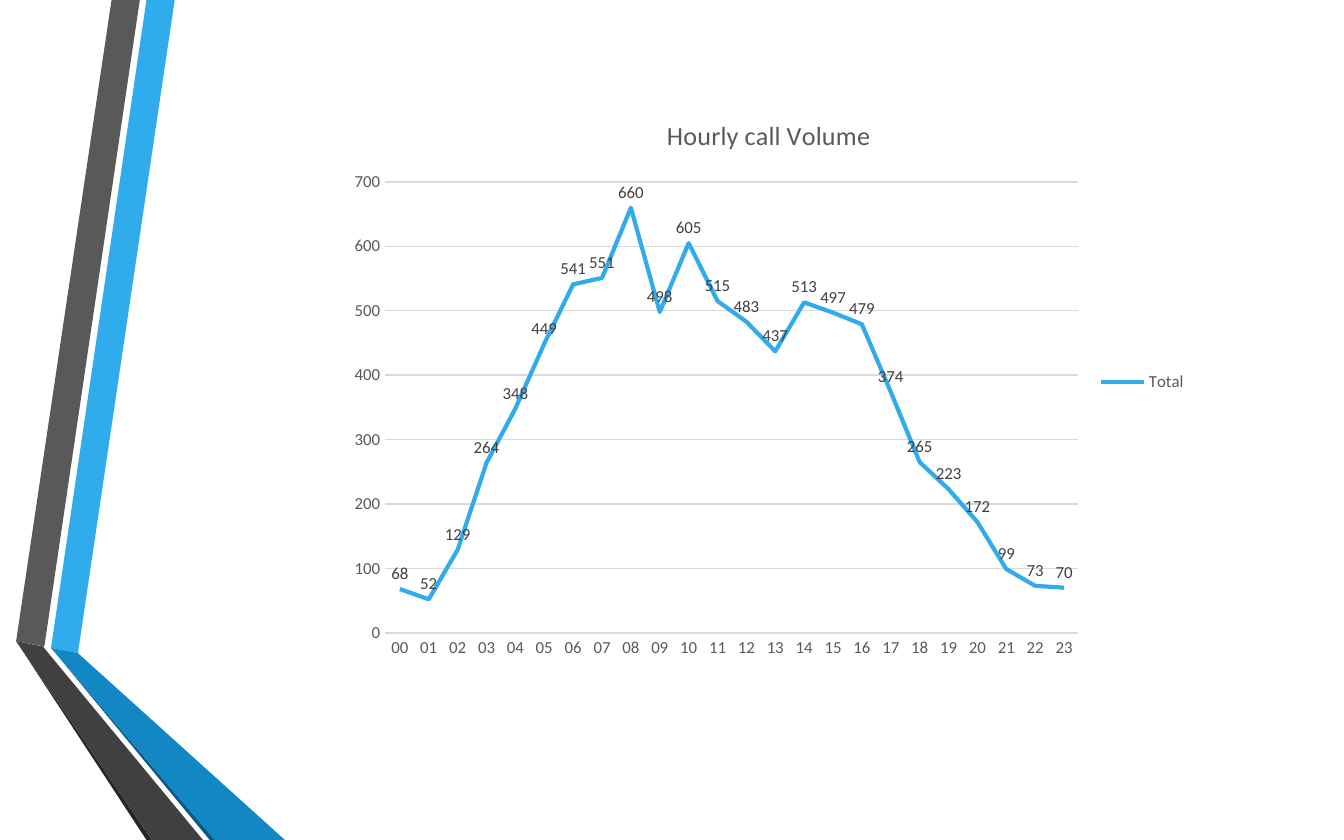
"""Build the hourly call volume slide with its folded ribbon edge."""
from dataclasses import dataclass
from typing import Any

from pptx import Presentation, util as u
from pptx.chart import data as cd
from pptx.dml.color import RGBColor
from pptx.enum import chart as ch

PX = u.Inches(1) // 100


@dataclass(frozen=True)
class Theme:
    font: str = "Calibri"
    accent: str = "30ACEC"
    accent_fold: str = "1287C3"
    accent_edge: str = "0C5A82"
    grey: str = "595959"
    grey_fold: str = "404040"
    grey_edge: str = "262626"
    grid: str = "D9D9D9"
    title_size: int = 14
    small_size: int = 9
    thin: float = 0.75
    thick: float = 2.25


@dataclass(frozen=True)
class Ribbon:
    color: str
    points: tuple[tuple[int, int], ...]


THEME = Theme()
RIBBONS = (
    Ribbon(THEME.accent, ((38, 482), (58, 486), (130, 0), (109, 0))),
    Ribbon(THEME.grey, ((104, 0), (83, 0), (12, 477), (33, 481))),
    Ribbon(THEME.grey_edge, ((12, 477), (109, 625), (113, 625))),
    Ribbon(THEME.accent_edge, ((38, 482), (156, 625), (160, 625))),
    Ribbon(THEME.accent_fold, ((38, 482), (160, 625), (212, 625), (58, 486))),
    Ribbon(THEME.grey_fold, ((151, 625), (36, 486), (32, 481), (12, 477), (113, 625))),
)
CALLS = (68, 52, 129, 264, 348, 449, 541, 551, 660, 498, 605, 515,
         483, 437, 513, 497, 479, 374, 265, 223, 172, 99, 73, 70)


def apply(target: Any, values: dict[str, Any]) -> None:
    """Set every named attribute on the target."""
    for name, value in values.items():
        setattr(target, name, value)


def style_font(font: Any, size: int, color: str) -> None:
    """Give a font the theme face, a size and a colour."""
    apply(font, {"name": THEME.font, "size": u.Pt(size), "bold": False})
    font.color.rgb = RGBColor.from_string(color)


def style_line(line: Any, width: float, color: str) -> None:
    """Give a line a width and a solid colour."""
    line.width = u.Pt(width)
    line.color.rgb = RGBColor.from_string(color)


def draw_ribbon(slide: Any, ribbon: Ribbon) -> None:
    """Draw one closed ribbon facet."""
    start, *rest = ribbon.points
    builder = slide.shapes.build_freeform(*start, scale=PX)
    builder.add_line_segments(rest, close=True)
    facet = builder.convert_to_shape()
    facet.shadow.inherit = False
    facet.fill.solid()
    facet.fill.fore_color.rgb = RGBColor.from_string(ribbon.color)
    facet.line.fill.background()


def draw_call_chart(slide: Any) -> None:
    """Draw the line chart of calls by hour."""
    volume = cd.CategoryChartData()
    volume.categories = [f"{hour:02d}" for hour in range(len(CALLS))]
    volume.add_series("Total", CALLS)
    chart = slide.shapes.add_chart(
        ch.XL_CHART_TYPE.LINE, 251 * PX, 70 * PX, 642 * PX, 428 * PX, volume).chart
    style_font(chart.font, THEME.small_size, THEME.grey)

    apply(chart, {"has_title": True, "has_legend": True})
    heading = chart.chart_title.text_frame
    heading.text = "Hourly call Volume"
    style_font(heading.paragraphs[0].runs[0].font, THEME.title_size, THEME.grey)
    apply(chart.legend, {"position": ch.XL_LEGEND_POSITION.RIGHT,
                         "include_in_layout": False})
    style_font(chart.legend.font, THEME.small_size, THEME.grey)

    hours, counts = chart.category_axis, chart.value_axis
    for axis in (hours, counts):
        apply(axis, {"major_tick_mark": ch.XL_TICK_MARK.NONE,
                     "minor_tick_mark": ch.XL_TICK_MARK.NONE})
        style_font(axis.tick_labels.font, THEME.small_size, THEME.grey)
    style_line(hours.format.line, THEME.thin, THEME.grid)
    counts.format.line.fill.background()
    apply(counts, {"minimum_scale": 0, "maximum_scale": 700, "major_unit": 100})
    style_line(counts.major_gridlines.format.line, THEME.thin, THEME.grid)

    plot = chart.plots[0]
    plot.vary_by_categories = False
    total = plot.series[0]
    total.smooth = False
    total.marker.style = ch.XL_MARKER_STYLE.NONE
    style_line(total.format.line, THEME.thick, THEME.accent)
    labels = total.data_labels
    apply(labels, {"show_value": True, "position": ch.XL_LABEL_POSITION.ABOVE})
    style_font(labels.font, THEME.small_size, THEME.grey_fold)


def main() -> None:
    """Assemble and save the presentation."""
    deck = Presentation()
    apply(deck, {"slide_width": 1000 * PX, "slide_height": 625 * PX})
    slide = deck.slides.add_slide(deck.slide_layouts[6])
    for ribbon in RIBBONS:
        draw_ribbon(slide, ribbon)
    draw_call_chart(slide)
    deck.save("out.pptx")


if __name__ == "__main__":
    main()
